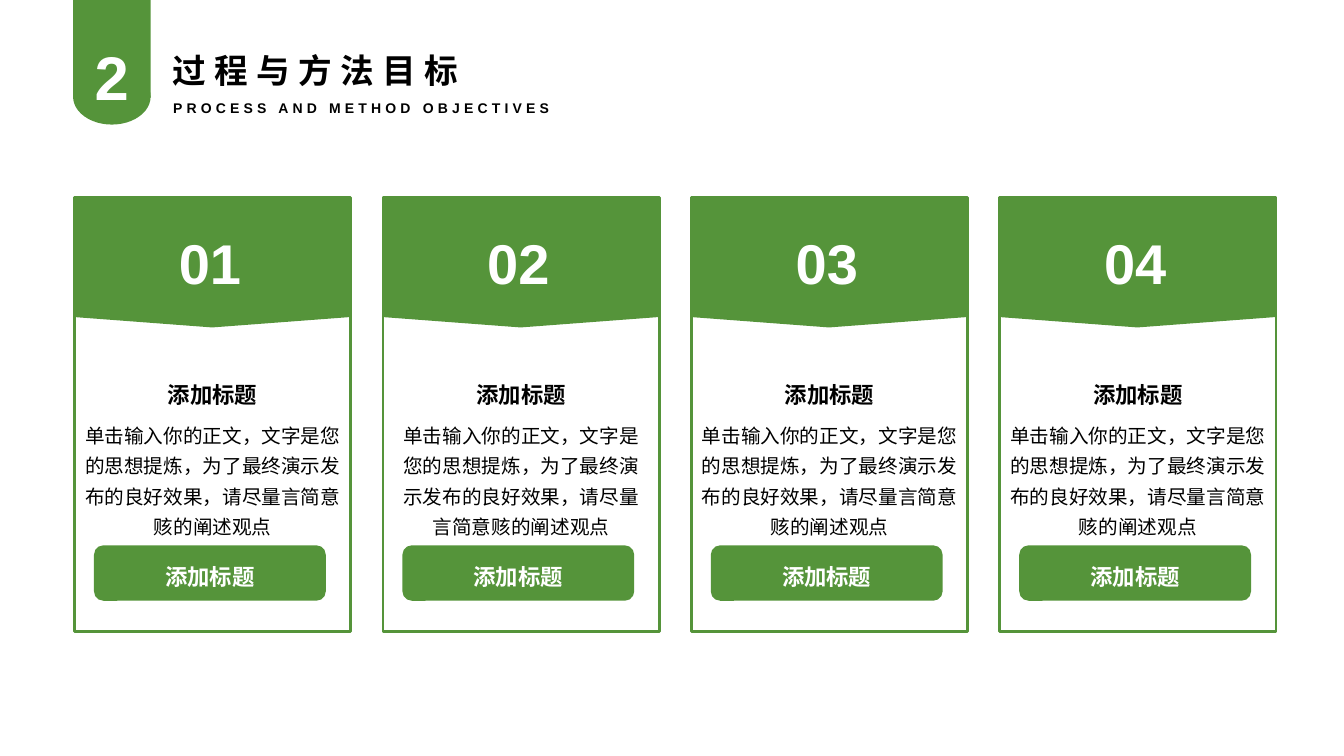
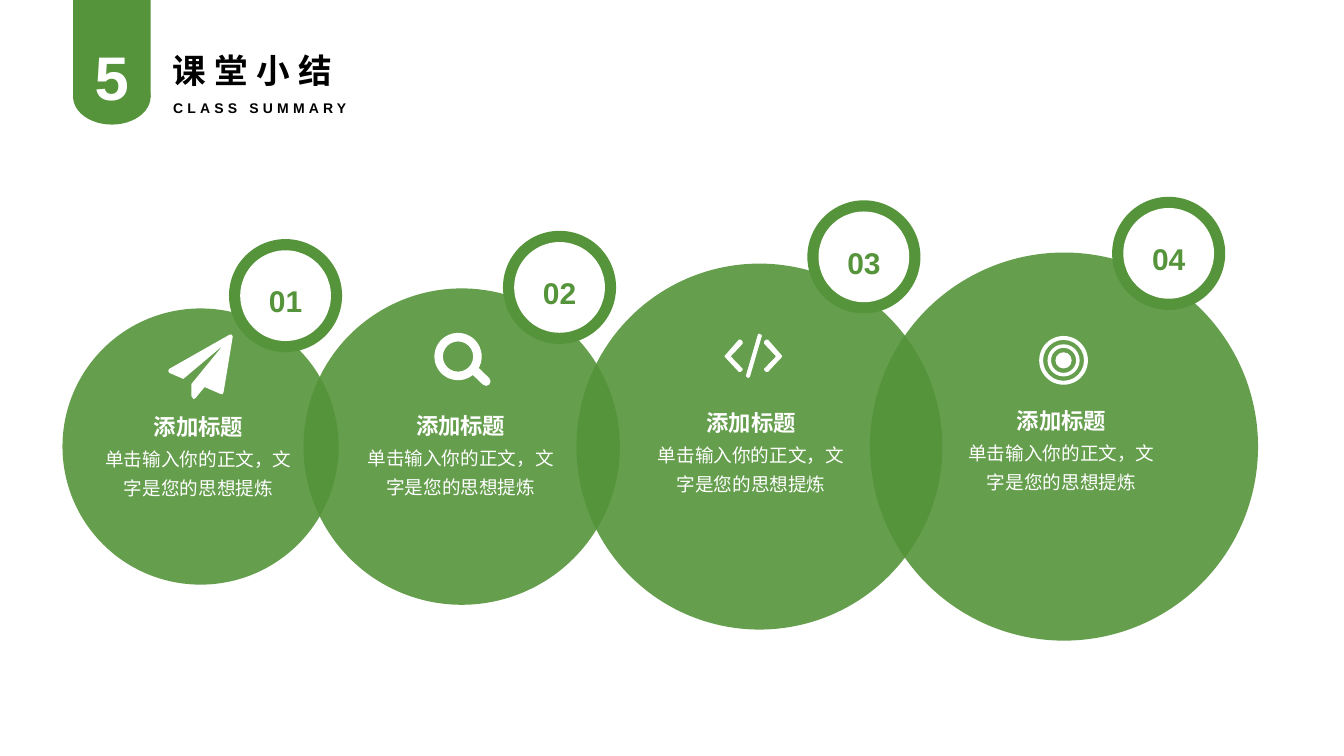
from dataclasses import dataclass

from lxml.etree import SubElement
from pptx import Presentation
from pptx.dml.color import RGBColor
from pptx.enum.shapes import MSO_CONNECTOR, MSO_SHAPE as SHAPE
from pptx.enum.text import MSO_ANCHOR as ANCHOR, MSO_AUTO_SIZE as AUTO, PP_ALIGN as ALIGN
from pptx.oxml.ns import qn
from pptx.util import Pt


@dataclass(frozen=True)
class Theme:
    green: str = "55943A"
    white: str = "FFFFFF"
    black: str = "000000"
    latin: str = "Arial"
    cjk: str = "Noto Sans CJK SC"
    section: float = 44
    card_number: float = 40
    title: float = 24
    badge: float = 21.4
    heading: float = 16
    body: float = 14
    caption: float = 13.3
    subtitle: float = 10
    leading: float = 1.3


T = Theme()

HEADING = "添加标题"
CARD_BODY = "单击输入你的正文，文字是您的思想提炼，为了最终演示发布的良好效果，请尽量言简意赅的阐述观点"
CAPTION = "单击输入你的正文，文字是您的思想提炼"

OBJECTIVES = ("2", "过程与方法目标", "PROCESS AND METHOD OBJECTIVES")
SUMMARY = ("5", "课堂小结", "CLASS SUMMARY")

CARDS = [("01", 184), ("02", 181.5), ("03", 184), ("04", 188)]
CARD_LEFT, CARD_TOP, CARD_W, CARD_H, CARD_PITCH = 53.3, 141, 197.3, 310.4, 220.3

CIRCLE_MID = 319
CIRCLES = [
    {"no": "01", "mid": 143.3, "d": 197.3, "caption": (72.7, 315.4), "badge": (163.6, 170.8)},
    {"no": "02", "mid": 329.8, "d": 226, "caption": (260, 314.4), "badge": (359.3, 164.9)},
    {"no": "03", "mid": 542.5, "d": 261.4, "caption": (467.4, 312.2), "badge": (576.7, 143.1)},
    {"no": "04", "mid": 760, "d": 277.2, "caption": (689.2, 310.8), "badge": (794.4, 140.6)},
]
CAPTION_W, BADGE_D, BADGE_RIM = 138.2, 80.8, 8

PLANE = [(166.3, 240.5), (159.8, 280), (159.1, 281.5), (157.7, 281.5), (146.2, 276.5),
         (139.7, 284.4), (138.2, 285.1), (136.8, 283), (136.8, 274.3), (159.1, 247),
         (131, 270.7), (121, 266.4), (120.2, 265), (121, 263.5), (164.2, 239), (165.6, 239)]
CHEVRON = [(529.2, 265.7), (527.8, 265.7), (517.7, 254.9), (517.7, 254.2), (527.8, 242.6),
           (529.2, 242.6), (530.6, 244.1), (530.6, 245.5), (522, 254.6), (530.6, 263.5),
           (530.6, 264.2)]
SLASH = [(535.7, 269.3), (534.2, 270), (533.5, 269.3), (532.8, 268.6), (541.4, 239),
         (542.2, 238.3), (543.6, 239), (544.3, 239.8)]
CODE_MID = 538.2
LENS = (327.2, 254.7, 33.8, 0.18)
HANDLE = (339.5, 265, 347.2, 272.4)
TARGET_MID = (759.7, 257.4)
TARGET_RINGS = [(34.8, 0.08), (23, 0.11)]
TARGET_DOT = 11.6


def rgb(color):
    return RGBColor.from_string(color)


def paint(sp, fill=None, line=None):
    sp.shadow.inherit = False
    if fill:
        sp.fill.solid()
        sp.fill.fore_color.rgb = rgb(fill)
    else:
        sp.fill.background()
    if line:
        sp.line.color.rgb = rgb(line)
        sp.line.width = Pt(2)
    else:
        sp.line.fill.background()
    return sp


def add_shape(s, kind, x, y, w, h, fill=None, line=None, adj=None):
    sp = s.shapes.add_shape(kind, Pt(x), Pt(y), Pt(w), Pt(h))
    if adj is not None:
        sp.adjustments[0] = adj
    return paint(sp, fill, line)


def add_disc(s, cx, cy, d, fill):
    return add_shape(s, SHAPE.OVAL, cx - d / 2, cy - d / 2, d, d, fill)


def add_ring(s, cx, cy, d, adj):
    add_shape(s, SHAPE.DONUT, cx - d / 2, cy - d / 2, d, d, T.white, adj=adj)


def add_outline(s, *contours):
    points = [[(Pt(x), Pt(y)) for x, y in c] for c in contours]
    fb = s.shapes.build_freeform(*points[0][0], scale=1.0)
    fb.add_line_segments(points[0][1:], close=True)
    for contour in points[1:]:
        fb.move_to(*contour[0])
        fb.add_line_segments(contour[1:], close=True)
    paint(fb.convert_to_shape(), T.white)


def write(tf, text, size, color, font=T.cjk, bold=True, align=ALIGN.CENTER,
          leading=T.leading, spacing=0):
    p = tf.paragraphs[0]
    p.alignment = align
    p.line_spacing = leading
    r = p.add_run()
    r.text = text
    r.font.size = Pt(size)
    r.font.bold = bold
    r.font.color.rgb = rgb(color)
    r.font.name = font
    rpr = r._r.get_or_add_rPr()
    SubElement(rpr, qn("a:ea")).set("typeface", font)
    if spacing:
        rpr.set("spc", str(spacing * 100))


def label(sp, *args, **style):
    sp.text_frame.vertical_anchor = ANCHOR.MIDDLE
    write(sp.text_frame, *args, **style)


def add_text(s, x, y, w, h, *args, inset=False, **style):
    tf = s.shapes.add_textbox(Pt(x), Pt(y), Pt(w), Pt(h)).text_frame
    tf.word_wrap = True
    tf.auto_size = AUTO.SHAPE_TO_FIT_TEXT
    if not inset:
        tf.margin_left = tf.margin_right = tf.margin_top = tf.margin_bottom = 0
    write(tf, *args, **style)


def add_header(s, number, title, subtitle):
    left = {"inset": True, "align": ALIGN.LEFT}
    add_shape(s, SHAPE.OVAL, 52.2, 49.2, 55.4, 39.8, T.green)
    add_shape(s, SHAPE.RECTANGLE, 52.2, 0, 55.4, 69.8, T.green)
    add_text(s, 60.5, 24.5, 38.9, 60.5, number, T.section, T.white, T.latin, leading=1.0, **left)
    add_text(s, 115.9, 32.4, 337, 36, title, T.title, T.black, leading=1.0, spacing=6, **left)
    add_text(s, 116.6, 66.2, 347, 20.2, subtitle, T.subtitle, T.black, T.latin,
             leading=1.14, spacing=3, **left)


def add_card(s, left, number, body_w):
    mid = left + CARD_W / 2
    inner_mid = mid - 2
    add_shape(s, SHAPE.RECTANGLE, left, CARD_TOP, CARD_W, CARD_H, line=T.green)
    flag_w, flag_h = 198, 92.9
    flag = add_shape(s, SHAPE.PENTAGON, mid - 0.4 - flag_h / 2, CARD_TOP + (flag_h - flag_w) / 2,
                     flag_h, flag_w, T.green, adj=0.08)
    flag.rotation = 90
    button = add_shape(s, SHAPE.ROUNDED_RECTANGLE, inner_mid - 82.8, 389.5, 165.6, 39.6,
                       T.green, adj=0.17)
    label(button, HEADING, T.heading, T.white)
    add_text(s, inner_mid - 55, 145.4, 110, 65.5, number, T.card_number, T.white, T.latin,
             inset=True)
    add_text(s, left, 266.4, CARD_W, 25.2, HEADING, T.heading, T.black)
    add_text(s, mid - body_w / 2, 297.4, body_w, 87.8, CARD_BODY, T.body, T.black, bold=False)


def add_circle(s, item):
    disc = add_disc(s, item["mid"], CIRCLE_MID, item["d"], T.green)
    color = disc._element.spPr.find(qn("a:solidFill")).find(qn("a:srgbClr"))
    SubElement(color, qn("a:alpha")).set("val", "90000")
    x, y = item["caption"]
    add_text(s, x, y, CAPTION_W, 42.5, CAPTION, T.caption, T.white, bold=False)
    add_text(s, x, y - 26, CAPTION_W, 25.2, HEADING, T.heading, T.white)


def add_badge(s, item):
    cx, cy = (v + BADGE_D / 2 for v in item["badge"])
    add_disc(s, cx, cy, BADGE_D, T.green)
    face = add_disc(s, cx, cy, BADGE_D - 2 * BADGE_RIM, T.white)
    label(face, item["no"], T.badge, T.green, T.latin)


def add_icons(s):
    add_outline(s, PLANE)
    add_ring(s, *LENS)
    handle = s.shapes.add_connector(MSO_CONNECTOR.STRAIGHT, *map(Pt, HANDLE))
    handle.line.color.rgb = rgb(T.white)
    handle.line.width = Pt(6.5)
    handle.line._get_or_add_ln().set("cap", "rnd")
    SubElement(handle._element.spPr, qn("a:effectLst"))
    add_outline(s, CHEVRON, SLASH, [(2 * CODE_MID - x, y) for x, y in CHEVRON])
    for d, adj in TARGET_RINGS:
        add_ring(s, *TARGET_MID, d, adj)
    add_disc(s, *TARGET_MID, TARGET_DOT, T.white)


def main():
    prs = Presentation()
    prs.slide_width, prs.slide_height = Pt(960), Pt(540)
    blank = prs.slide_layouts[6]

    s = prs.slides.add_slide(blank)
    for i, (number, body_w) in enumerate(CARDS):
        add_card(s, CARD_LEFT + i * CARD_PITCH, number, body_w)
    add_header(s, *OBJECTIVES)

    s = prs.slides.add_slide(blank)
    for item in CIRCLES:
        add_circle(s, item)
    add_icons(s)
    for item in CIRCLES:
        add_badge(s, item)
    add_header(s, *SUMMARY)

    prs.save("out.pptx")


if __name__ == "__main__":
    main()
